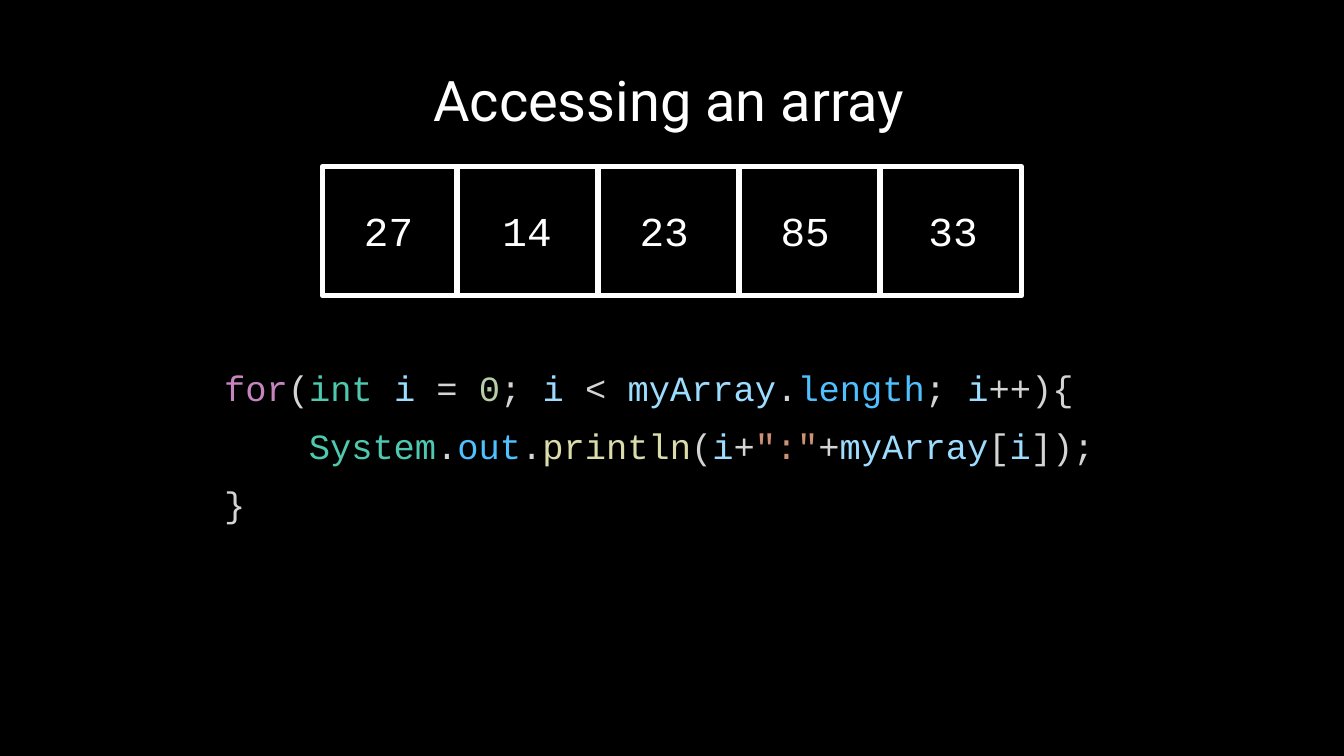
"""Build a slide that shows an array and the loop that reads it."""
import pptx
import pptx.dml.color
import pptx.enum.shapes
import pptx.enum.text
import pptx.util

Inches = pptx.util.Inches


def color(code):
    return pptx.dml.color.RGBColor.from_string(code)


def setup(frame):
    frame.margin_left = frame.margin_right = Inches(0.1)
    frame.margin_top = frame.margin_bottom = Inches(0.1)
    frame.auto_size = pptx.enum.text.MSO_AUTO_SIZE.SHAPE_TO_FIT_TEXT
    frame.vertical_anchor = pptx.enum.text.MSO_ANCHOR.TOP
    frame.word_wrap = True
    return frame


deck = pptx.Presentation()
deck.slide_width = Inches(10)
deck.slide_height = Inches(10) * 9 // 16
slide = deck.slides.add_slide(deck.slide_layouts[5])
slide.background.fill.solid()
slide.background.fill.fore_color.rgb = color("000000")

title = slide.shapes.title
title.left, title.top = Inches(1.84), Inches(0.39)
title.width, title.height = Inches(5.38), Inches(0.71)
para = setup(title.text_frame).paragraphs[0]
para.text = "Accessing an array "
para.alignment = pptx.enum.text.PP_ALIGN.CENTER
para._p.get_or_add_pPr().set("marL", str(Inches(1)))
para.font.name, para.font.size = "Roboto", pptx.util.Pt(30)
para.font.color.rgb = color("FFFFFF")

for left in (2.4, 3.4, 4.45, 5.5, 6.55):
    cell = slide.shapes.add_shape(
        pptx.enum.shapes.MSO_SHAPE.RECTANGLE,
        Inches(left), Inches(1.24), Inches(1.05), Inches(0.96))
    cell.shadow.inherit = False
    cell.fill.solid()
    cell.fill.fore_color.rgb = color("000000")
    cell.line.color.rgb = color("FFFFFF")
    cell.line.width = pptx.util.Pt(3)

values = [("27", 2.61), ("14", 3.64), ("23", 4.66), ("85", 5.71), ("33", 6.81)]
for value, left in values:
    box = slide.shapes.add_textbox(
        Inches(left), Inches(1.43), Inches(0.62), Inches(0.57))
    para = setup(box.text_frame).paragraphs[0]
    para.text = value
    para.font.name, para.font.size = "Courier New", pptx.util.Pt(22)
    para.font.color.rgb = color("FFFFFF")

hues = {"plain": "D4D4D4", "key": "C586C0", "type": "4EC9B0", "var": "9CDCFE",
        "num": "B5CEA8", "field": "4FC1FF", "call": "DCDCAA", "str": "CE9178"}
lines = [
    (0.16, [("for", "key"), ("(", "plain"), ("int ", "type"), ("i", "var"),
            (" = ", "plain"), ("0", "num"), ("; ", "plain"), ("i", "var"),
            (" < ", "plain"), ("myArray", "var"), (".", "plain"),
            ("length", "field"), ("; ", "plain"), ("i", "var"),
            ("++){", "plain")]),
    (0.79, [("System", "type"), (".", "plain"), ("out", "field"),
            (".", "plain"), ("println", "call"), ("(", "plain"), ("i", "var"),
            ("+", "plain"), ('":"', "str"), ("+", "plain"),
            ("myArray", "var"), ("[", "plain"), ("i", "var"),
            ("]);", "plain")]),
    (0.16, [("}", "plain")]),
]
box = slide.shapes.add_textbox(
    Inches(1.41), Inches(2.51), Inches(8.07), Inches(1.39))
frame = setup(box.text_frame)
for row, (indent, tokens) in enumerate(lines):
    para = frame.add_paragraph() if row else frame.paragraphs[0]
    para._p.get_or_add_pPr().set("marL", str(Inches(indent)))
    para.line_spacing = 1.36
    para.font.name, para.font.size = "Courier New", pptx.util.Pt(19)
    for text, kind in tokens:
        run = para.add_run()
        run.text = text
        run.font.color.rgb = color(hues[kind])

deck.save("out.pptx")
